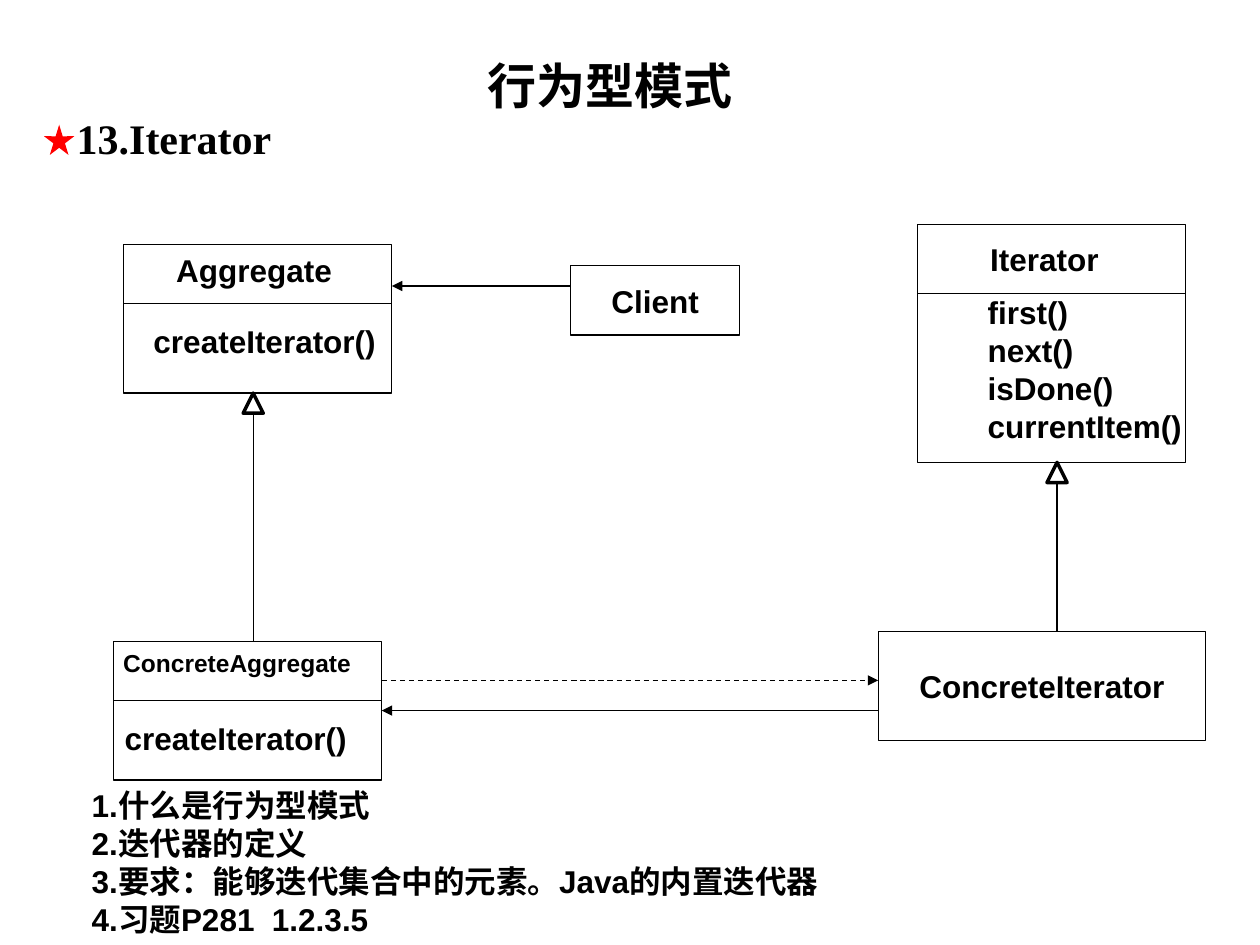
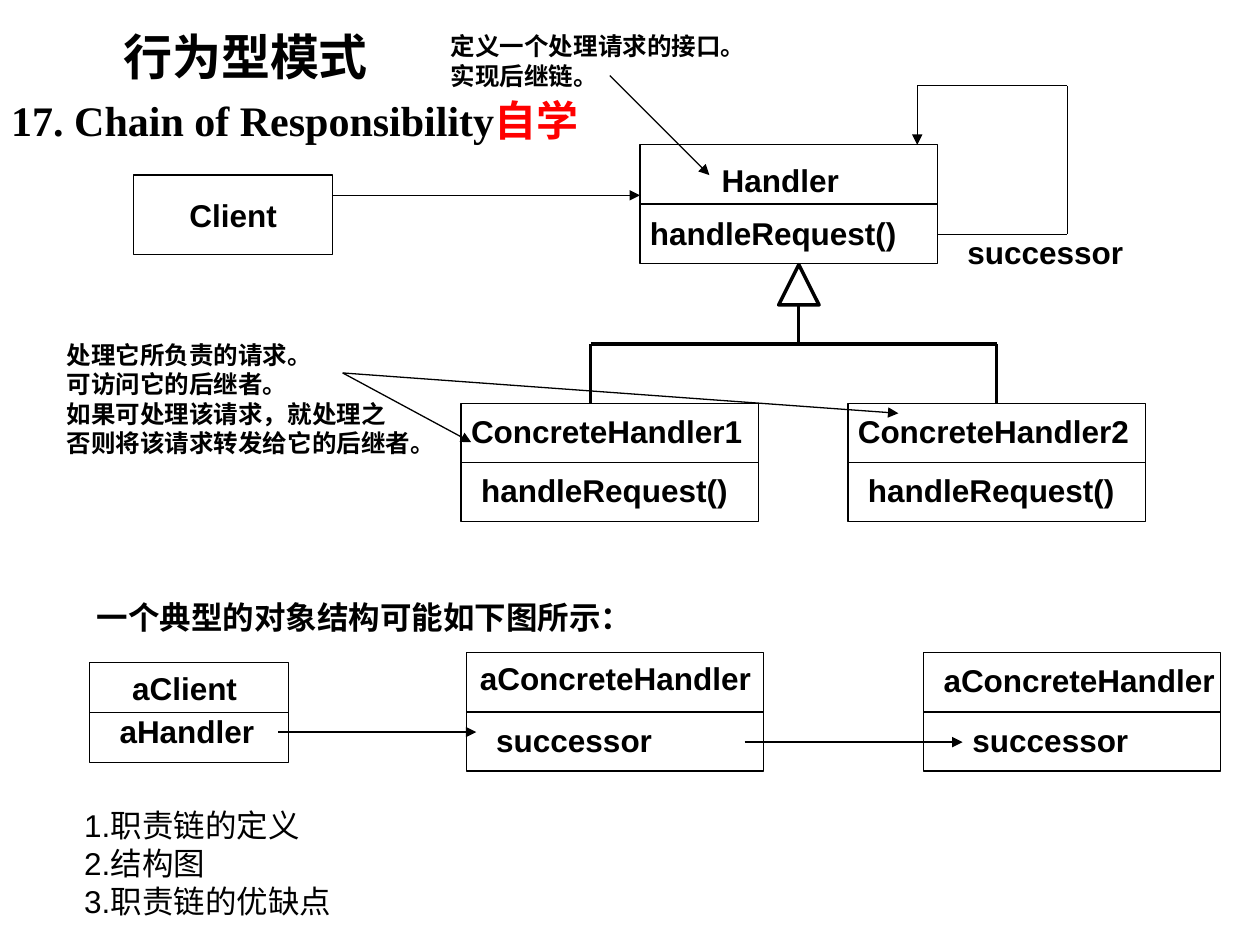
from typing import NamedTuple, Optional

from pptx import Presentation
from pptx.dml.color import RGBColor
from pptx.enum.dml import MSO_LINE
from pptx.enum.shapes import MSO_CONNECTOR, MSO_SHAPE
from pptx.enum.text import MSO_ANCHOR, MSO_AUTO_SIZE, PP_ALIGN
from pptx.oxml.ns import qn
from pptx.shapes.autoshape import Shape
from pptx.shapes.connector import Connector
from pptx.slide import Slide
from pptx.util import Emu, Pt
from lxml import etree

PX = 9144  # 100 px to the inch
COLORS = {"ink": "000000", "accent": "FF0000"}
SANS, SERIF = "Arial", "Times New Roman"
RECTANGLE, TRIANGLE, STAR = MSO_SHAPE.RECTANGLE, MSO_SHAPE.ISOSCELES_TRIANGLE, MSO_SHAPE.STAR_5_POINT
STRAIGHT, DASH = MSO_CONNECTOR.STRAIGHT, MSO_LINE.DASH
CENTER, MIDDLE, GROW = PP_ALIGN.CENTER, MSO_ANCHOR.MIDDLE, MSO_AUTO_SIZE.SHAPE_TO_FIT_TEXT
LEFT_SIDE, RIGHT_SIDE, TOP_SIDE = 1, 3, 0
THIN, MEDIUM, THICK = 0.75, 1.75, 2
PATTERN_TITLE = "行为型模式"
HANDLER_WIDTH, HANDLER_HEIGHT = 236, 94


class Label(NamedTuple):
    left: int
    top: int
    width: int
    height: int
    text: str
    size: int = 18
    font: str = SANS
    bold: bool = True
    wrap: bool = False
    emphasis: str = ""


class Box(NamedTuple):
    left: int
    top: int
    width: int
    height: int
    text: str = ""


class Line(NamedTuple):
    x1: int
    y1: int
    x2: int
    y2: int
    arrow: bool = False
    width: float = THIN
    dashed: bool = False


def px(value: int) -> Emu:
    return Emu(value * PX)


def color(name: str) -> RGBColor:
    return RGBColor.from_string(COLORS[name])


def write(shape: Shape, text: str, size: int = 18, font: str = SANS, bold: bool = True) -> None:
    """Fill a shape with one paragraph per line of text."""
    frame = shape.text_frame
    for number, line in enumerate(text.split("\n")):
        paragraph = frame.add_paragraph() if number else frame.paragraphs[0]
        paragraph.add_run().text = line
        paragraph.font.name = font
        paragraph.font.size = Pt(size)
        paragraph.font.bold = bold
        paragraph.font.color.rgb = color("ink")


def add_label(slide: Slide, label: Label) -> None:
    shape = slide.shapes.add_textbox(*map(px, label[:4]))
    write(shape, label.text, label.size, label.font, label.bold)
    shape.text_frame.word_wrap = label.wrap
    shape.text_frame.auto_size = GROW
    if label.emphasis:
        run = shape.text_frame.paragraphs[-1].add_run()
        run.text = label.emphasis
        run.font.color.rgb = color("accent")


def add_outline(slide: Slide, preset: MSO_SHAPE, frame: tuple[int, ...], width: float) -> Shape:
    shape = slide.shapes.add_shape(preset, *map(px, frame))
    shape.shadow.inherit = False
    shape.fill.background()
    shape.line.color.rgb = color("ink")
    shape.line.width = Pt(width)
    return shape


def add_box(slide: Slide, box: Box) -> Shape:
    shape = add_outline(slide, RECTANGLE, box[:4], THIN)
    if box.text:
        write(shape, box.text)
        shape.text_frame.word_wrap = False
        shape.text_frame.vertical_anchor = MIDDLE
        shape.text_frame.paragraphs[0].alignment = CENTER
    return shape


def add_line(slide: Slide, line: Line) -> Connector:
    connector = slide.shapes.add_connector(STRAIGHT, *map(px, line[:4]))
    connector.line.color.rgb = color("ink")
    connector.line.width = Pt(line.width)
    if line.dashed:
        connector.line.dash_style = DASH
    if line.arrow:
        etree.SubElement(connector.line._get_or_add_ln(), qn("a:tailEnd"), type="triangle")
    etree.SubElement(connector._element.spPr, qn("a:effectLst"))
    return connector


def add_split_box(slide: Slide, box: Box, divider: Optional[int] = None) -> Shape:
    """Draw a class box; its divider joins the side middles unless an offset is given."""
    shape = add_box(slide, box)
    offset = box.height // 2 if divider is None else divider
    y = box.top + offset
    connector = add_line(slide, Line(box.left, y, box.left + box.width, y))
    if divider is None:
        connector.begin_connect(shape, LEFT_SIDE)
        connector.end_connect(shape, RIGHT_SIDE)
    return shape


def add_inheritance_head(slide: Slide, center: int, top: int, size: int) -> None:
    add_outline(slide, TRIANGLE, (center - size // 2, top, size, size), THICK)


def add_all(slide: Slide, lines: list[Line], labels: list[Label]) -> None:
    for line in lines:
        add_line(slide, line)
    for label in labels:
        add_label(slide, label)


def build_iterator(slide: Slide) -> None:
    add_split_box(slide, Box(98, 194, 213, 118), 47)
    add_split_box(slide, Box(728, 178, 213, 189), 55)
    add_split_box(slide, Box(90, 509, 213, 110), 47)
    add_box(slide, Box(453, 211, 134, 55, "Client"))
    add_box(slide, Box(697, 501, 260, 87, "ConcreteIterator"))
    add_inheritance_head(slide, 201, 312, 16)
    add_inheritance_head(slide, 839, 367, 16)
    lines = [
        Line(453, 227, 311, 227, arrow=True),
        Line(201, 328, 201, 509),
        Line(839, 383, 839, 501),
        Line(303, 540, 697, 540, arrow=True, dashed=True),
        Line(697, 564, 303, 564, arrow=True),
    ]
    labels = [
        Label(377, 39, 214, 57, PATTERN_TITLE, 28),
        Label(51, 84, 219, 50, "13.Iterator", 24, SERIF, wrap=True),
        Label(130, 194, 147, 40, "Aggregate"),
        Label(112, 251, 200, 40, "createIterator()"),
        Label(776, 186, 108, 40, "Iterator"),
        Label(774, 228, 176, 130, "first()\nnext()\nisDone()\ncurrentItem()"),
        Label(88, 509, 203, 34, "ConcreteAggregate", 14),
        Label(89, 566, 200, 40, "createIterator()"),
        Label(63, 619, 620, 130,
              "1.什么是行为型模式\n2.迭代器的定义\n"
              "3.要求：能够迭代集合中的元素。Java的内置迭代器\n4.习题P281  1.2.3.5"),
    ]
    add_all(slide, lines, labels)
    star = slide.shapes.add_shape(STAR, *map(px, (35, 99, 24, 24)))
    star.shadow.inherit = False
    star.fill.solid()
    star.fill.fore_color.rgb = color("accent")
    star.line.fill.background()


def build_chain(slide: Slide) -> None:
    add_box(slide, Box(106, 139, 158, 63, "Client"))
    add_split_box(slide, Box(71, 526, 158, 79))
    for left, top in ((508, 115), (370, 518), (733, 518)):
        add_split_box(slide, Box(left, top, HANDLER_WIDTH, HANDLER_HEIGHT))
    for number, left in enumerate((366, 673), start=1):
        concrete_handler = add_split_box(slide, Box(left, 320, HANDLER_WIDTH, HANDLER_HEIGHT))
        add_label(slide, Label(left - 2, 322, 237, 40, f"ConcreteHandler{number}"))
        add_label(slide, Label(left + 6, 369, 218, 40, "handleRequest()"))
    add_inheritance_head(slide, 634, 210, 32)
    second_branch = add_line(slide, Line(791, 273, 791, 320, width=MEDIUM))
    second_branch.end_connect(concrete_handler, TOP_SIDE)
    lines = [
        Line(634, 241, 634, 273, width=MEDIUM),
        Line(469, 273, 791, 273, width=MEDIUM),
        Line(469, 273, 469, 320, width=MEDIUM),
        Line(744, 186, 847, 186),
        Line(847, 68, 847, 186),
        Line(728, 68, 847, 68),
        Line(728, 68, 728, 115, arrow=True),
        Line(264, 155, 508, 155, arrow=True),
        Line(221, 581, 378, 581, arrow=True),
        Line(591, 589, 764, 589, arrow=True),
        Line(484, 60, 563, 139, arrow=True),
        Line(272, 296, 374, 351, arrow=True),
        Line(272, 296, 713, 328, arrow=True),
    ]
    labels = [
        Label(88, 16, 214, 57, PATTERN_TITLE, 28),
        Label(-1, 70, 478, 50, "17. Chain of Responsibility", 24, SERIF, emphasis="自学"),
        Label(348, 20, 254, 57, "定义一个处理请求的接口。\n实现后继链。", 14),
        Label(563, 123, 120, 40, "Handler", wrap=True),
        Label(506, 165, 218, 40, "handleRequest()"),
        Label(758, 180, 147, 40, "successor"),
        Label(43, 265, 312, 104,
              "处理它所负责的请求。\n可访问它的后继者。\n"
              "如果可处理该请求，就处理之\n否则将该请求转发给它的后继者。", 14),
        Label(67, 470, 445, 40, "一个典型的对象结构可能如下图所示："),
        Label(95, 526, 107, 40, "aClient"),
        Label(85, 560, 129, 40, "aHandler"),
        Label(371, 518, 237, 40, "aConcreteHandler"),
        Label(739, 520, 237, 40, "aConcreteHandler"),
        Label(384, 567, 147, 40, "successor"),
        Label(762, 567, 147, 40, "successor"),
        Label(57, 635, 222, 100, "1.职责链的定义\n2.结构图\n3.职责链的优缺点", bold=False),
    ]
    add_all(slide, lines, labels)


def main() -> None:
    presentation = Presentation()
    presentation.slide_width, presentation.slide_height = px(1000), px(750)
    blank_layout = presentation.slide_layouts[6]
    for build in (build_iterator, build_chain):
        build(presentation.slides.add_slide(blank_layout))
    presentation.save("out.pptx")


if __name__ == "__main__":
    main()
